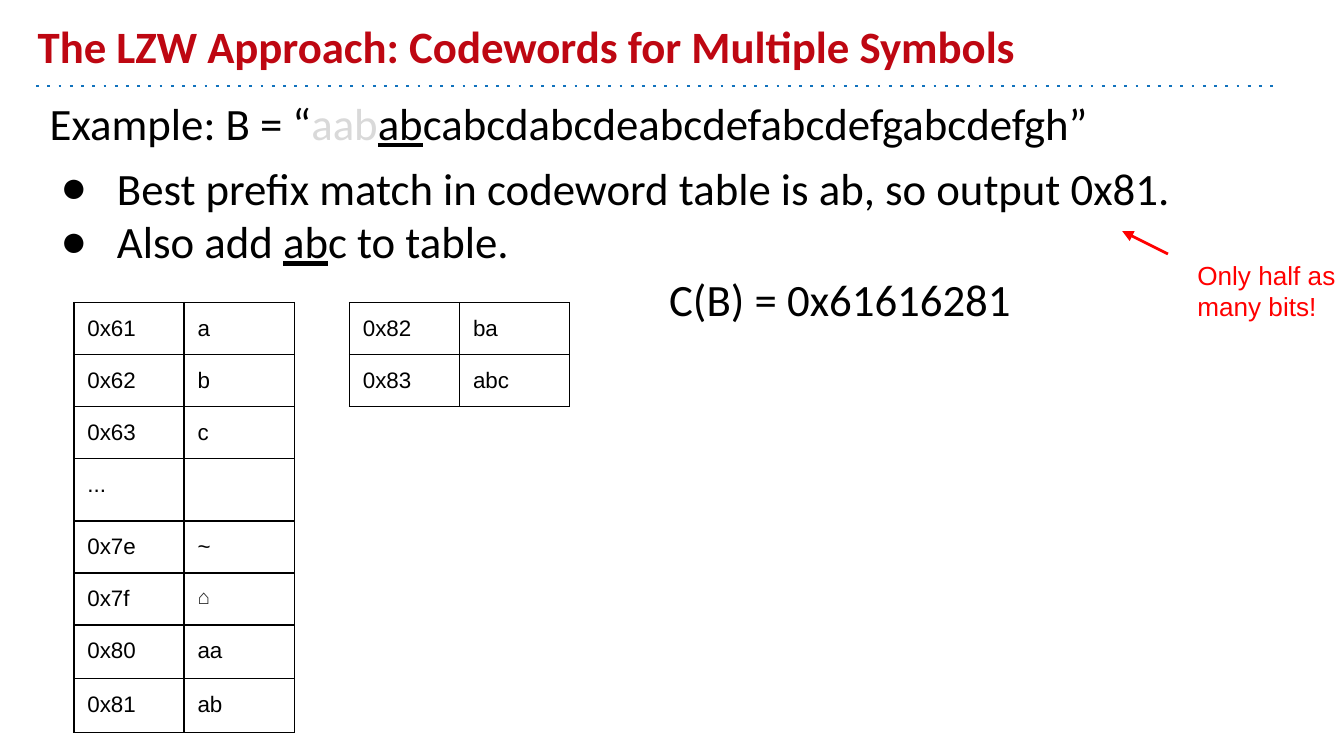
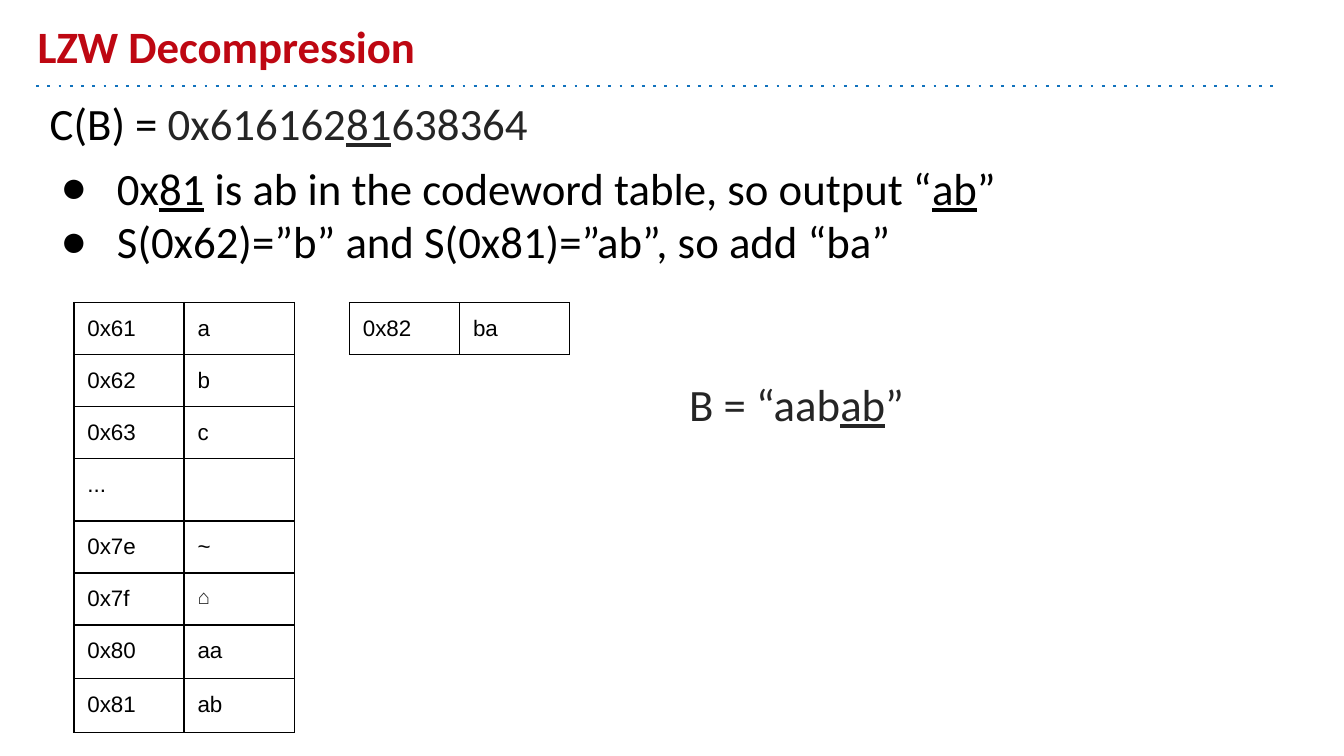
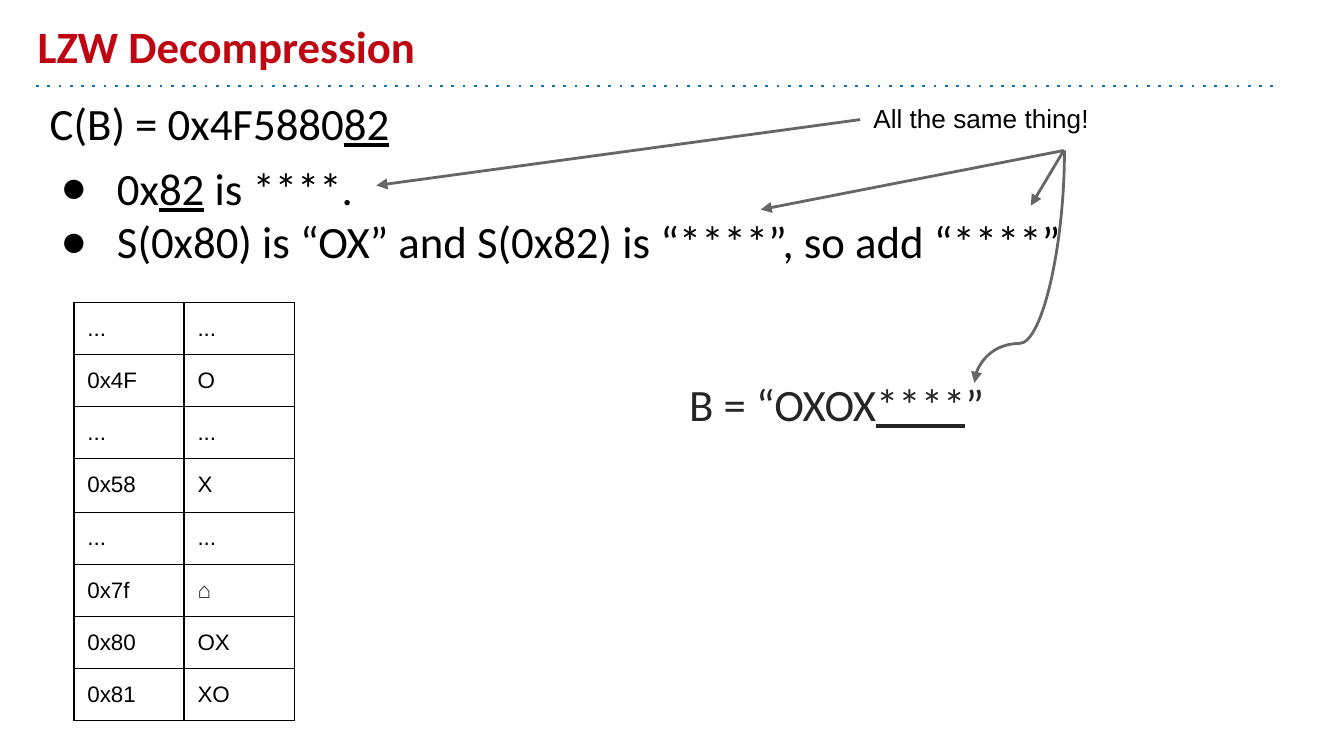
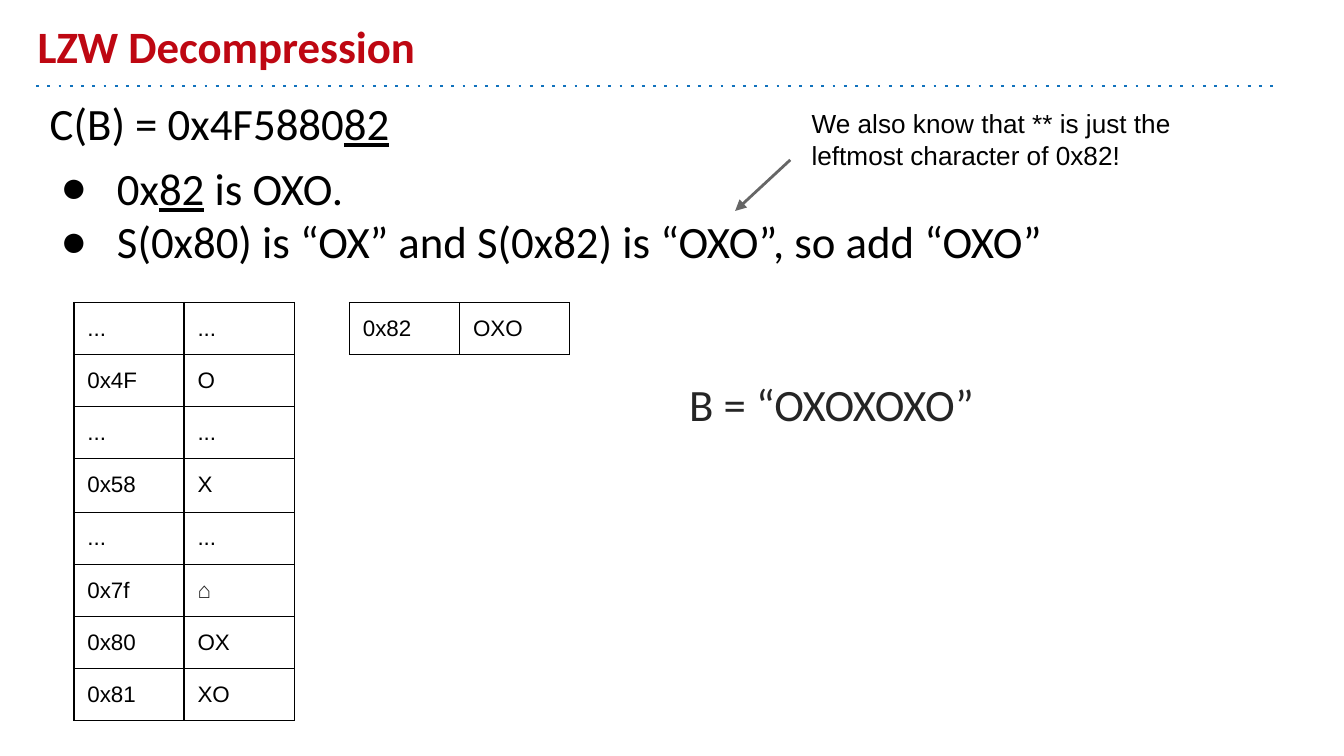
from lxml import etree
from pptx import Presentation
from pptx import util as u
from pptx.dml.color import RGBColor
from pptx.enum import shapes, text
from pptx.oxml import ns

WIDTH = 10
HEIGHT = WIDTH * 9 / 16
BLACK, DARK, FADED = "000000", "252525", "D9D9D9"
RED, RULE_BLUE, ARROW_GREY, ALERT, WHITE = "BE0712", "1072BD", "666666", "FF0000", "FFFFFF"
HEADING = {"name": "Calibri", "size": 24, "bold": True, "color": RED}
BODY = {"name": "Calibri", "size": 24, "bold": False, "color": BLACK}
RESULT = {**BODY, "color": DARK}
NOTE = {"name": "Arial", "size": 14, "color": BLACK}
CELL = {"name": "Arial", "size": 12, "color": BLACK}
BLANK_CELL_SIZE = 17
UNDER = {"underline": True}

TITLE_AREA = (0.18, 0.1, 9, 0.54)
BODY_AREA = (0.27, 0.61, 9.23, 4.54)
RESULT_AREA = (5.03, 2.59, 3.07, 0.82)
RULE = ((0.27, 0.64), (9.5, 0.64))
TABLE_LEFT, TABLE_TOP, TABLE_STEP, TABLE_SIZE = 0.55, 2.25, 2.05, 3.28
COLUMN = TABLE_SIZE / 4
FIRST_ROW, ROW, TALL_ROW = 0.11, 0.37, 0.4
SPACE_BEFORE = (0, 6, 0)
SIDES = ("left", "right", "top", "bottom")

ASCII_CODES = [("0x61", "a"), ("0x62", "b"), ("0x63", "c"), ("...", ""),
               ("0x7e", "~"), ("0x7f", "⌂"), ("0x80", "aa"), ("0x81", "ab")]
OX_CODES = [("...", "..."), ("0x4F", "O"), ("...", "..."), ("0x58", "X"),
            ("...", "..."), ("0x7f", "⌂"), ("0x80", "OX"), ("0x81", "XO")]
ASCII_TABLE = {"rows": ASCII_CODES, "tall": (3, 6, 7), "house": 11}
OX_TABLE = {"rows": OX_CODES, "tall": (3,), "house": 12}
OX_INPUT = ["C(B) = 0x4F5880", ("82", UNDER)]

PAGES = [
    {"title": "The LZW Approach: Codewords for Multiple Symbols",
     "body": [
         ["Example: B = “", ("aab", {"color": FADED}), ("ab", UNDER),
          "cabcdabcdeabcdefabcdefgabcdefgh”"],
         ["Best prefix match in codeword table is ab, so output 0x81."],
         ["Also add ", ("ab", UNDER), "c to table."]],
     "tables": [ASCII_TABLE, {"rows": [("0x82", "ba"), ("0x83", "abc")]}],
     "result": {"area": (4.88, 2.01, 3.28, 0.43), "look": BODY,
                "spans": ["C(B) = 0x61616281"]},
     "note": {"area": (8.81, 1.83, 1.32, 0.29), "look": {**NOTE, "color": ALERT},
              "spans": ["Only half as many bits!"]},
     "arrows": [{"ends": ((8.69, 1.89), (8.35, 1.72)), "color": ALERT}]},
    {"title": "LZW Decompression",
     "body": [
         ["C(B) = ", ("0x616162", {"color": DARK}), ("81", {**UNDER, "color": DARK}),
          ("638364", {"color": DARK})],
         ["0x", ("81", UNDER), " is ab in the codeword table, so output “", ("ab", UNDER), "”"],
         ["S(0x62)=”b” and S(0x81)=”ab”, so add “ba”"]],
     "tables": [{**ASCII_TABLE, "fill": WHITE}, {"rows": [("0x82", "ba")]}],
     "result": {"spans": ["B = “aab", ("ab", UNDER), "”"]}},
    {"title": "LZW Decompression",
     "body": [
         OX_INPUT,
         ["0x", ("82", UNDER), " is ****."],
         ["S(0x80) is “OX” and S(0x82) is “****”, so add “****”"]],
     "tables": [OX_TABLE],
     "result": {"spans": ["B = “OXOX", ("****", UNDER), "”"]},
     "note": {"area": (6.4, 0.66, 3.03, 0.46), "spans": ["All the same thing!"]},
     "arrows": [{"ends": ((6.4, 0.89), (2.8, 1.38)), "side": 1},
                {"ends": ((7.92, 1.13), (5.66, 1.56)), "side": 2},
                {"ends": ((7.92, 1.13), (7.67, 1.53)), "side": 2},
                {"ends": ((6.72, 1.65), (8.45, 2.32)), "turn": 90, "bend": 83000}]},
    {"title": "LZW Decompression",
     "body": [
         OX_INPUT,
         ["0x", ("82", UNDER), " is OXO."],
         ["S(0x80) is “OX” and S(0x82) is “OXO”, so add “OXO”"]],
     "tables": [OX_TABLE, {"rows": [("0x82", "OXO")]}],
     "result": {"spans": ["B = “OXOXOXO”"]},
     "note": {"area": (5.94, 0.7, 2.99, 0.45),
              "spans": ["We also know that ** is just the leftmost character of 0x82!"]},
     "arrows": [{"ends": ((5.88, 1.19), (5.47, 1.57))}]},
]


def rgb(value):
    return RGBColor.from_string(value)


def inches(values):
    return [u.Inches(value) for value in values]


def add_xml(parent, tag, **attributes):
    return etree.SubElement(parent, ns.qn(tag), attributes)


def format_font(font, look):
    for name, value in look.items():
        if name == "color":
            font.color.rgb = rgb(value)
        else:
            setattr(font, name, u.Pt(value) if name == "size" else value)


def write_spans(para, spans, look):
    para.alignment = text.PP_ALIGN.LEFT
    for item in spans:
        words, change = (item, {}) if isinstance(item, str) else item
        span = para.add_run()
        span.text = words
        format_font(span.font, {**look, **change})


def prepare_frame(box, area, anchor):
    for name, value in zip(("left", "top", "width", "height"), inches(area)):
        setattr(box, name, value)
    frame = box.text_frame
    settings = {"word_wrap": True, "auto_size": text.MSO_AUTO_SIZE.NONE,
                "vertical_anchor": anchor}
    settings.update({f"margin_{side}": u.Inches(0.1) for side in SIDES})
    for name, value in settings.items():
        setattr(frame, name, value)
    return frame


def set_bullet(para, bulleted):
    props = para._p.get_or_add_pPr()
    margin, indent = (0.5, -0.42) if bulleted else (0, 0)
    props.set("marL", str(u.Inches(margin)))
    props.set("indent", str(u.Inches(indent)))
    if bulleted:
        add_xml(add_xml(props, "a:buClr"), "a:srgbClr", val=BLACK)
        add_xml(props, "a:buFont", typeface="Arial")
        add_xml(props, "a:buChar", char="●")
    else:
        add_xml(props, "a:buNone")


def fill_placeholders(page, content):
    title, body = page.placeholders
    frame = prepare_frame(title, TITLE_AREA, text.MSO_ANCHOR.BOTTOM)
    write_spans(frame.paragraphs[0], [content["title"]], HEADING)
    frame = prepare_frame(body, BODY_AREA, text.MSO_ANCHOR.TOP)
    for index, spans in enumerate(content["body"]):
        para = frame.add_paragraph() if index else frame.paragraphs[0]
        set_bullet(para, index > 0)
        para.space_before = u.Pt(SPACE_BEFORE[index])
        write_spans(para, spans, BODY)


def add_words(page, area, spans, look, anchor):
    box = page.shapes.add_textbox(*inches(area))
    write_spans(prepare_frame(box, area, anchor).paragraphs[0], spans, look)
    return box


def add_line(page, ends, color, kind=shapes.MSO_CONNECTOR.STRAIGHT):
    line = page.shapes.add_connector(kind, *inches(ends[0] + ends[1]))
    line.line.color.rgb = rgb(color)
    line.line.width = u.Pt(1.5)
    add_xml(line.element.spPr, "a:effectLst")
    return line, line.element.spPr.find(ns.qn("a:ln"))


def add_arrow(page, note, ends, color=ARROW_GREY, side=None, turn=0, bend=None):
    kind = shapes.MSO_CONNECTOR.CURVE if bend else shapes.MSO_CONNECTOR.STRAIGHT
    arrow, outline = add_line(page, ends, color, kind)
    add_xml(outline, "a:tailEnd", type="triangle")
    if side is not None:
        arrow.begin_connect(note, side)
    if bend:
        arrow.rotation = turn
        guides = next(arrow.element.iter(ns.qn("a:avLst")))
        add_xml(guides, "a:gd", name="adj1", fmla=f"val {bend}")


def border_cell(cell):
    props = cell._tc.get_or_add_tcPr()
    for side in "LRTB":
        edge = add_xml(props, f"a:ln{side}", w=str(u.Pt(0.75)))
        add_xml(add_xml(edge, "a:solidFill"), "a:srgbClr", val=BLACK)


def fill_cell(cell, value, house, fill):
    border_cell(cell)
    for side in SIDES:
        setattr(cell, f"margin_{side}", u.Inches(0.1))
    if fill:
        cell.fill.solid()
        cell.fill.fore_color.rgb = rgb(fill)
    else:
        cell.fill.background()
    para = cell.text_frame.paragraphs[0]
    if value:
        look = {**CELL, "size": house, "color": DARK} if value == "⌂" else CELL
        write_spans(para, [value], look)
    else:
        blank = add_xml(para._p, "a:endParaRPr", sz=str(BLANK_CELL_SIZE * 100))
        add_xml(blank, "a:latin", typeface=CELL["name"])


def add_codes(page, position, rows, tall=(), house=12, fill=None):
    place = (TABLE_LEFT + position * TABLE_STEP, TABLE_TOP, TABLE_SIZE, TABLE_SIZE)
    holder = page.shapes.add_table(len(rows), 2, *inches(place))
    table = holder.table
    table.first_row = table.horz_banding = False
    for column in table.columns:
        column.width = u.Inches(COLUMN)
    for index, values in enumerate(rows):
        height = TALL_ROW if index in tall else ROW if index else FIRST_ROW
        table.rows[index].height = u.Inches(height)
        for cell, value in zip(table.rows[index].cells, values):
            fill_cell(cell, value, house, fill)
    holder.width = holder.height = u.Inches(TABLE_SIZE)


def share_rule(page):
    rule, outline = add_line(page, RULE, RULE_BLUE)
    add_xml(outline, "a:prstDash", val="dot")
    page.slide_layout.element.cSld.spTree.append(rule.element)


def build_page(page, content):
    fill_placeholders(page, content)
    for position, codes in enumerate(content["tables"]):
        add_codes(page, position, **codes)
    result = {"area": RESULT_AREA, "look": RESULT, **content["result"]}
    add_words(page, anchor=text.MSO_ANCHOR.MIDDLE, **result)
    note = None
    if "note" in content:
        note = add_words(page, anchor=text.MSO_ANCHOR.TOP, **{"look": NOTE, **content["note"]})
    for arrow in content.get("arrows", []):
        add_arrow(page, note, **arrow)


def main():
    deck = Presentation()
    deck.slide_width, deck.slide_height = inches((WIDTH, HEIGHT))
    layout = deck.slide_layouts[1]
    for index, content in enumerate(PAGES):
        page = deck.slides.add_slide(layout)
        if index == 0:
            share_rule(page)
        build_page(page, content)
    deck.save("out.pptx")


if __name__ == "__main__":
    main()
